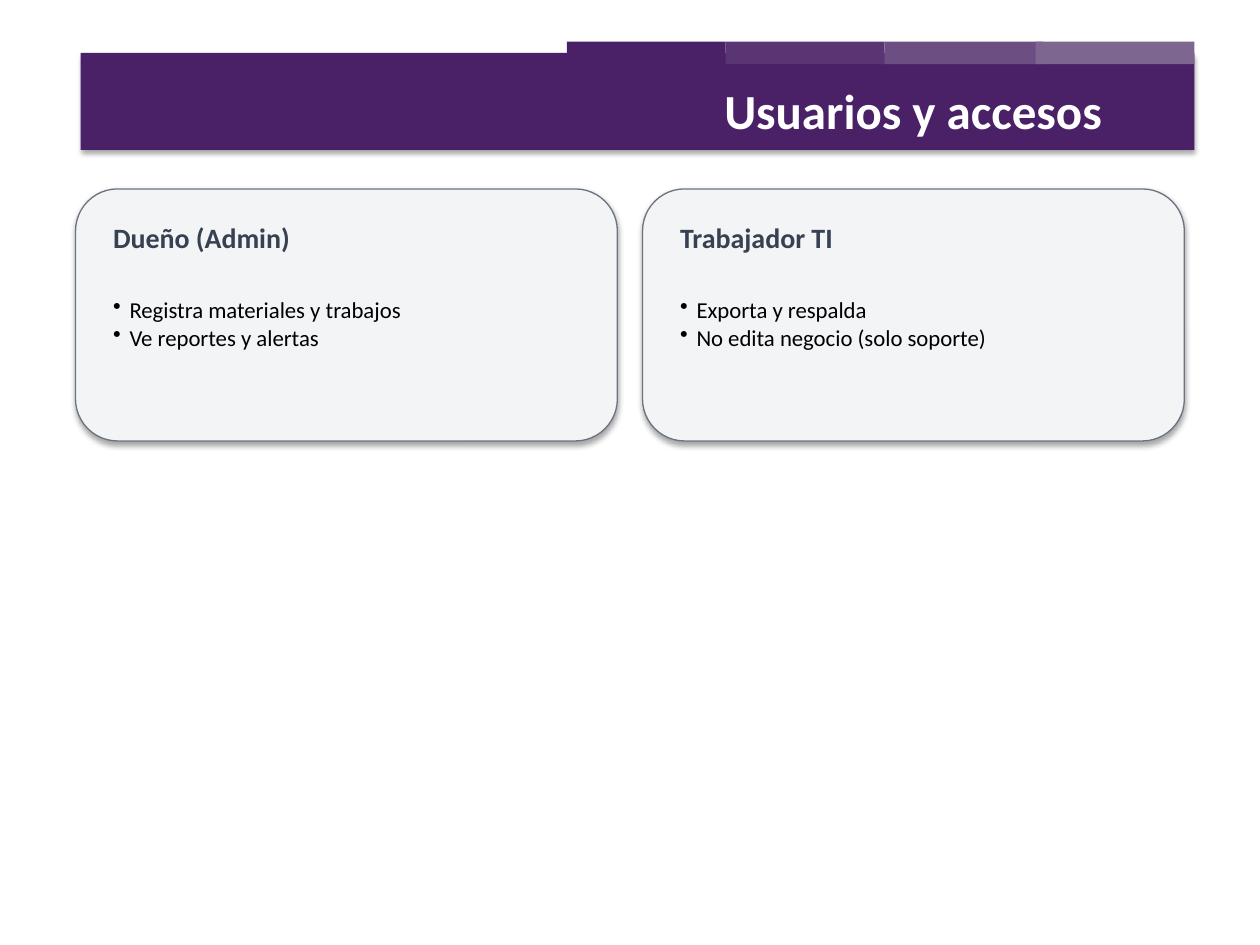
from pptx import Presentation
from pptx.dml.color import RGBColor
from pptx.enum.shapes import MSO_SHAPE
from pptx.enum.text import MSO_AUTO_SIZE
from pptx.oxml import parse_xml
from pptx.oxml.ns import nsdecls
from pptx.util import Inches, Pt

TITLE = "Usuarios y accesos"
CARDS = [
    ("Dueño (Admin)", ["Registra materiales y trabajos", "Ve reportes y alertas"]),
    ("Trabajador TI", ["Exporta y respalda", "No edita negocio (solo soporte)"]),
]
TABS = ["4A2167", "5A3574", "6D4E83", "7D6690"]
STYLES = {
    "title": {"size": Pt(28), "bold": True, "color": "FFFFFF"},
    "head": {"size": Pt(16), "bold": True, "color": "374151"},
    "item": {"size": Pt(13), "bold": False, "color": "000000"},
}

WIDE, HIGH = 10, 7.5
BAR = (0.64, 0.42, 8.84, 0.77)
TAB_LEFT, TAB_TOP, TAB_WIDE, TAB_HIGH = 4.5, 0.33, 1.26, 0.18
LEFT, TOP, CARD_WIDE, CARD_HIGH, GAP = 0.6, 1.5, 4.3, 2, 0.2
PAD, DROP, INDENT = 0.2, 0.8, 0.13


def tint(code):
    return RGBColor.from_string(code)


def place(box):
    return [Inches(n) for n in box]


def shade(shape):
    shape._element.spPr.append(parse_xml(
        f'<a:effectLst {nsdecls("a")}><a:outerShdw blurRad="{Pt(3.1)}" dist="{Pt(1.8)}" '
        'dir="5400000" rotWithShape="0"><a:srgbClr val="000000">'
        '<a:alpha val="35000"/></a:srgbClr></a:outerShdw></a:effectLst>'))


def block(slide, kind, box, fill, line=None, cast=False):
    shape = slide.shapes.add_shape(kind, *place(box))
    shape.fill.solid()
    shape.fill.fore_color.rgb = tint(fill)
    if line:
        shape.line.color.rgb = tint(line)
        shape.line.width = Pt(0.75)
    else:
        shape.line.fill.background()
    if cast:
        shade(shape)
    else:
        shape.shadow.inherit = False
    return shape


def bullet(para):
    props = para._p.get_or_add_pPr()
    props.set("marL", str(Inches(INDENT)))
    props.set("indent", str(-Inches(INDENT)))
    props.append(parse_xml(f'<a:buChar {nsdecls("a")} char="•"/>'))


def write(slide, box, lines, style, grow=True, dots=False):
    frame = slide.shapes.add_textbox(*place(box)).text_frame
    frame.word_wrap = True
    frame.auto_size = MSO_AUTO_SIZE.SHAPE_TO_FIT_TEXT if grow else MSO_AUTO_SIZE.NONE
    for i, text in enumerate(lines):
        para = frame.add_paragraph() if i else frame.paragraphs[0]
        if dots:
            bullet(para)
        run = para.add_run()
        run.text = text
        run.font.name = "Calibri"
        for key, value in STYLES[style].items():
            if key == "color":
                run.font.color.rgb = tint(value)
            else:
                setattr(run.font, key, value)


def main():
    deck = Presentation()
    deck.slide_width, deck.slide_height = place((WIDE, HIGH))
    slide = deck.slides.add_slide(deck.slide_layouts[6])

    block(slide, MSO_SHAPE.RECTANGLE, BAR, TABS[0], cast=True)
    last = BAR[0] + BAR[2] - TAB_WIDE
    for i, fill in enumerate(TABS):
        left = min(TAB_LEFT + i * TAB_WIDE, last)
        block(slide, MSO_SHAPE.RECTANGLE, (left, TAB_TOP, TAB_WIDE, TAB_HIGH), fill)
    write(slide, (5.65, 0.59, 3.55, 0.4), [TITLE], "title", grow=False)

    for i, (head, items) in enumerate(CARDS):
        left = LEFT + i * (CARD_WIDE + GAP)
        inner, span = left + PAD, CARD_WIDE - 2 * PAD
        block(slide, MSO_SHAPE.ROUNDED_RECTANGLE, (left, TOP, CARD_WIDE, CARD_HIGH),
              "F3F4F6", "6B7280", cast=True)
        write(slide, (inner, TOP + PAD, span, 0.37), [head], "head")
        write(slide, (inner, TOP + DROP, span, 0.54), items, "item", dots=True)

    deck.save("out.pptx")


if __name__ == "__main__":
    main()
